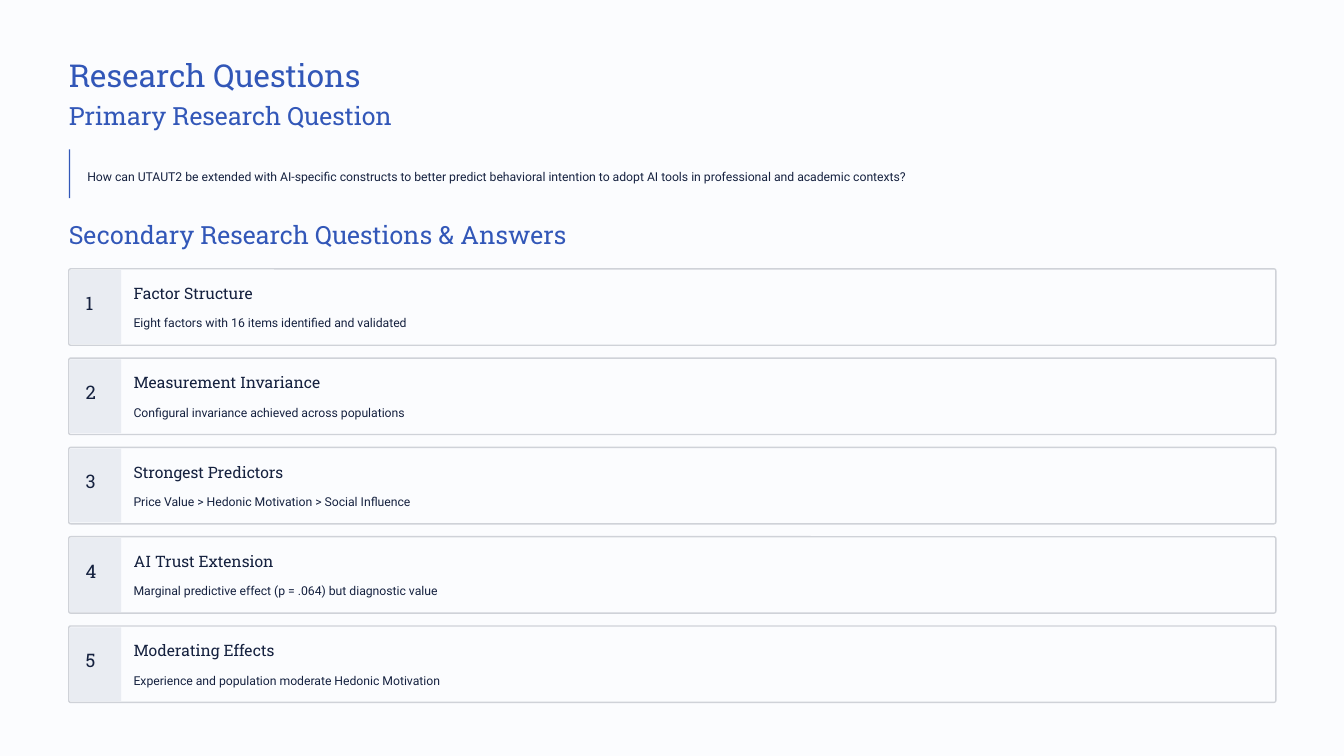
import pptx
import pptx.dml.color
import pptx.enum.shapes
import pptx.enum.text
import pptx.util
from pptx.util import Cm

HEADING_FONT = "Roboto Slab"
BODY_FONT = "Roboto"
BLUE = "3257B8"
NAVY = "15213F"
PAPER = "FBFCFE"
BADGE = "E9ECF2"
BORDER = "CFD2D8"

LEFT = 2.08
CARD_TOP = 8.13
CARD_WIDTH = 36.5
CARD_HEIGHT = 2.31
CARD_PITCH = 2.7

PRIMARY_QUESTION = (
    "How can UTAUT2 be extended with AI-specific constructs to better predict "
    "behavioral intention to adopt AI tools in professional and academic contexts?"
)
ANSWERS = [
    ("Factor Structure", "Eight factors with 16 items identified and validated"),
    ("Measurement Invariance", "Configural invariance achieved across populations"),
    ("Strongest Predictors", "Price Value > Hedonic Motivation > Social Influence"),
    ("AI Trust Extension", "Marginal predictive effect (p = .064) but diagnostic value"),
    ("Moderating Effects", "Experience and population moderate Hedonic Motivation"),
]


def paint(fill, color):
    """Make a fill solid in a hex colour."""
    fill.solid()
    fill.fore_color.rgb = pptx.dml.color.RGBColor.from_string(color)


def add_text(page, box, text, size, leading, font=BODY_FONT, color=NAVY):
    """Add one line of text in a box given in centimetres."""
    frame = page.shapes.add_textbox(*map(Cm, box)).text_frame
    frame.margin_left = frame.margin_right = 0
    frame.margin_top = frame.margin_bottom = 0
    frame.word_wrap = False
    frame.vertical_anchor = pptx.enum.text.MSO_ANCHOR.TOP
    para = frame.paragraphs[0]
    para.alignment = pptx.enum.text.PP_ALIGN.LEFT
    para.line_spacing = pptx.util.Pt(leading)
    span = para.add_run()
    span.text = text
    span.font.name = font
    span.font.size = pptx.util.Pt(size)
    paint(span.font.fill, color)


def add_panel(page, box, color, rounding=None, border=None):
    """Add a filled rectangle, with rounded corners and a border if given."""
    kinds = pptx.enum.shapes.MSO_SHAPE
    kind = kinds.RECTANGLE if rounding is None else kinds.ROUNDED_RECTANGLE
    panel = page.shapes.add_shape(kind, *map(Cm, box))
    panel.shadow.inherit = False
    paint(panel.fill, color)
    if rounding is not None:
        panel.adjustments[0] = rounding
    if border is None:
        panel.line.fill.background()
    else:
        paint(panel.line.fill, border)
        panel.line.width = pptx.util.Pt(1.2)


def add_section_heading(page, box, text):
    """Add a section heading in a box."""
    add_text(page, box, text, 21.5, 27, HEADING_FONT, BLUE)


def add_quote(page, box, text):
    """Add a question with a rule along the left of its box."""
    left, top, width, height = box
    add_text(page, (left + 0.56, top + 0.43, width - 0.58, 0.61), text, 10.5, 17)
    add_panel(page, (left, top, 0.04, height), BLUE)


def add_card(page, box, number, title, answer):
    """Add a bordered card with a numbered badge, a title and an answer."""
    left, top, width, height = box
    text_left = left + 1.96
    add_panel(page, box, PAPER, 0.025, BORDER)
    add_panel(page, (left + 0.03, top + 0.04, 1.55, height - 0.08), BADGE, 0.005)
    add_text(page, (left + 0.51, top + 0.8, 0.58, 0.71), str(number), 16, 16, HEADING_FONT)
    add_text(page, (text_left, top + 0.42, 5.72, 0.61), title, 13.5, 17, HEADING_FONT)
    add_text(page, (text_left, top + 1.26, width - 2.41, 0.61), answer, 10.5, 17)


def build_research_questions(deck):
    """Build the slide of research questions and answers."""
    page = deck.slides.add_slide(deck.slide_layouts[6])
    paint(page.background.fill, PAPER)
    add_text(page, (LEFT, 1.63, 9.63, 1.19), "Research Questions", 27, 34, HEADING_FONT, BLUE)
    add_section_heading(page, (LEFT, 3, 9.96, 0.97), "Primary Research Question")
    add_quote(page, (LEFT, 4.52, CARD_WIDTH, 1.47), PRIMARY_QUESTION)
    add_section_heading(page, (LEFT, 6.58, 15.32, 0.97), "Secondary Research Questions & Answers")
    for index, (title, answer) in enumerate(ANSWERS):
        box = (LEFT, CARD_TOP + index * CARD_PITCH, CARD_WIDTH, CARD_HEIGHT)
        add_card(page, box, index + 1, title, answer)


def main():
    """Create the deck and save it."""
    deck = pptx.Presentation()
    deck.slide_width = Cm(40.64)
    deck.slide_height = Cm(22.86)
    build_research_questions(deck)
    deck.save("out.pptx")


if __name__ == "__main__":
    main()
